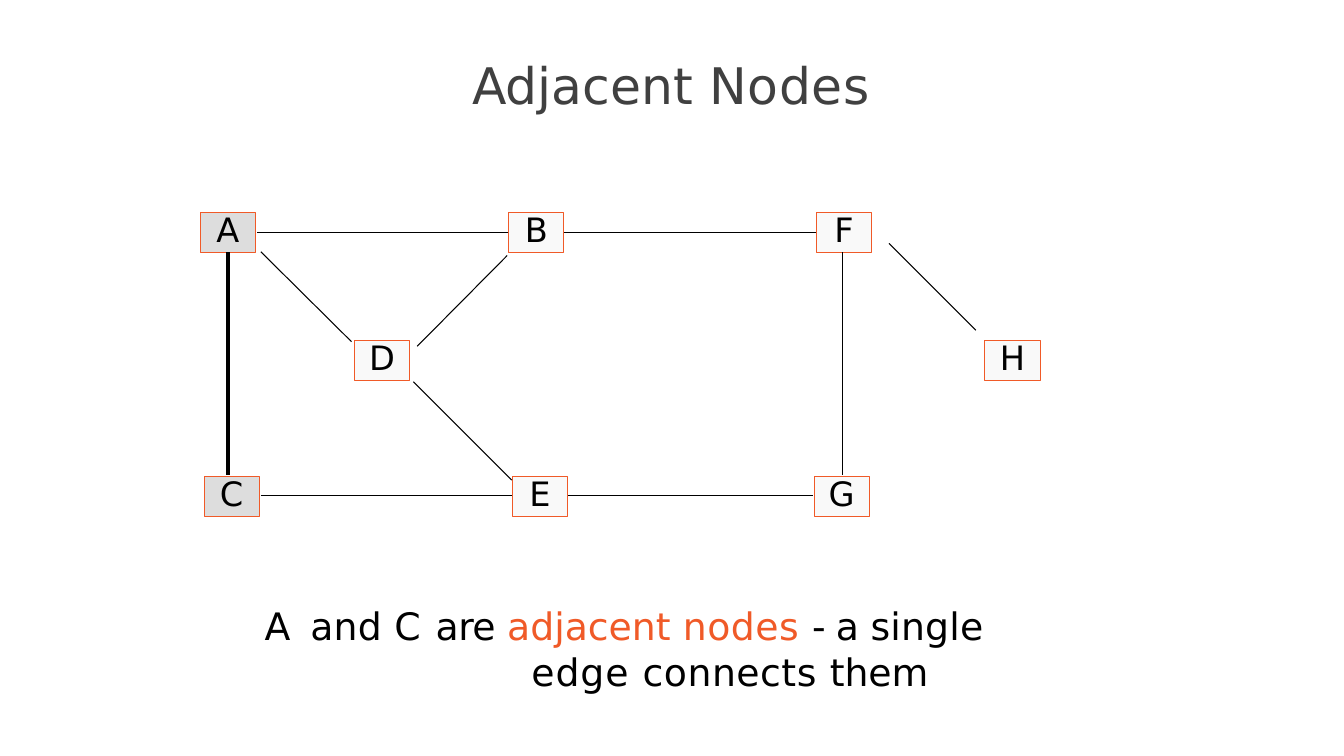
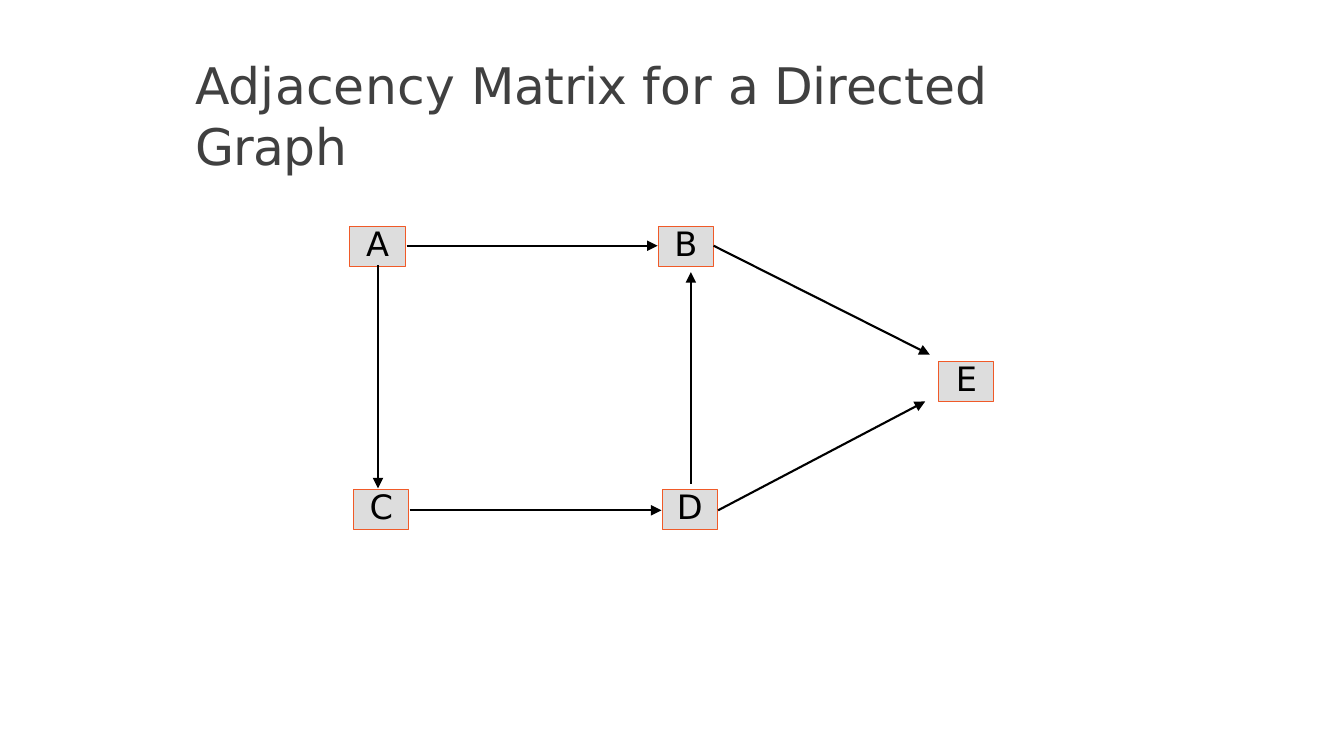
from lxml import etree
from pptx import Presentation
from pptx import util as u
from pptx.dml.color import RGBColor
from pptx.enum import shapes, text
from pptx.oxml.ns import qn

PX = 9144  # one px is a hundredth of an inch
WIDE, HIGH = 1778, 1000
NODE_W, NODE_H = 73, 53
FONT = "DejaVu Sans"
COLORS = {"title": "404040", "ink": "000000", "node": "DDDDDD", "accent": "F05A28"}


def px(*sizes):
    return [u.Emu(size * PX) for size in sizes]


def tint(name):
    return RGBColor.from_string(COLORS[name])


class Deck:
    def __init__(self):
        self.prs = Presentation()
        self.prs.slide_width, self.prs.slide_height = px(WIDE, HIGH)
        self.slide = None

    def style(self, run, size, color="ink", gap=0):
        """Format a run; gap is the letter spacing in points."""
        run.font.name, run.font.size = FONT, u.Pt(size)
        run.font.color.rgb = tint(color)
        if gap:
            run._r.get_or_add_rPr().set("spc", str(round(gap * 100)))

    def frame(self, shape, top=0):
        box = shape.text_frame
        box.margin_left = box.margin_right = box.margin_bottom = 0
        box.margin_top = px(top)[0]
        box.word_wrap = True
        box.auto_size = text.MSO_AUTO_SIZE.NONE
        box.vertical_anchor = text.MSO_ANCHOR.TOP
        return box

    def fill(self, para, parts, size):
        """Fill a paragraph from (words, gap, color) parts."""
        for words, gap, color in parts:
            run = para.add_run()
            run.text = words
            self.style(run, size, color, gap)

    def start(self, parts, left, width):
        """Add a slide with a title made of (words, gap) parts."""
        self.slide = self.prs.slides.add_slide(self.prs.slide_layouts[5])
        title = self.slide.shapes.title
        title.left, title.top, title.width, title.height = px(left, 71, width, 83)
        para = self.frame(title, 1).paragraphs[0]
        para.alignment = text.PP_ALIGN.LEFT
        para.space_before = u.Pt(1)
        self.fill(para, [(words, gap, "title") for words, gap in parts], 48)

    def node(self, name, left, top, alpha=100):
        box = self.slide.shapes.add_shape(
            shapes.MSO_SHAPE.RECTANGLE, *px(left, top, NODE_W, NODE_H))
        box.shadow.inherit = False
        box.fill.solid()
        box.fill.fore_color.rgb = tint("node")
        if alpha < 100:
            shade = box._element.spPr.find(qn("a:solidFill"))[0]
            etree.SubElement(shade, qn("a:alpha"), val=str(alpha * 1000))
        box.line.color.rgb = tint("accent")
        box.line.width = u.Pt(1)
        para = self.frame(box).paragraphs[0]
        para.text = name
        para.alignment = text.PP_ALIGN.CENTER
        para.line_spacing = u.Pt(35)
        self.style(para.runs[0], 32)

    def edge(self, ends, width=1, arrow=False):
        line = self.slide.shapes.add_connector(
            shapes.MSO_CONNECTOR.STRAIGHT, *px(*ends))
        line.line.color.rgb = tint("ink")
        line.line.width = u.Pt(width)
        props = line._element.spPr
        if arrow:
            etree.SubElement(props.find(qn("a:ln")), qn("a:tailEnd"),
                             type="triangle", w="lg", len="lg")
        etree.SubElement(props, qn("a:effectLst"))

    def caption(self, parts, place, indent):
        """Add a text whose lines after the first hang at the indent."""
        box = self.slide.shapes.add_textbox(*px(*place))
        para = self.frame(box, 4).paragraphs[0]
        para.line_spacing, para.space_before = u.Pt(43), u.Pt(2.6)
        props = para._p.get_or_add_pPr()
        props.set("marL", str(indent * PX))
        props.set("indent", str((1 - indent) * PX))
        self.fill(para, parts, 36)


def adjacent(deck):
    deck.start([("Adjacent ", 0), ("Nodes", 0.7)], 625, 540)
    top, mid, low = 281, 451, 630
    for name, left, y in [("A", 265, top), ("C", 270, low)]:
        deck.node(name, left, y)
    for name, left, y in [("B", 673, top), ("F", 1080, top), ("D", 469, mid),
                          ("H", 1303, mid), ("E", 678, low), ("G", 1077, low)]:
        deck.node(name, left, y, alpha=17)
    for ends in [(340, 307, 672, 307), (746, 307, 1079, 307),
                 (345, 656, 677, 656), (752, 656, 1075, 656),
                 (345, 333, 465, 452), (547, 505, 677, 635),
                 (552, 458, 671, 338), (1176, 322, 1291, 437),
                 (1114, 628, 1114, 333)]:
        deck.edge(ends)
    deck.edge((302, 628, 302, 333), width=4)
    deck.caption([("A ", 3.8, "ink"), ("and ", 0.2, "ink"), ("C ", 1.4, "ink"),
                  ("are ", -0.5, "ink"), ("adjacent ", 0, "accent"),
                  ("nodes ", 0.5, "accent"), ("- ", -1.7, "ink"),
                  ("a ", -0.5, "ink"), ("single ", 0.2, "ink"),
                  ("edge ", 0.9, "ink"), ("connects ", 0.5, "ink"),
                  ("them", -0.1, "ink")], (349, 794, 1070, 123), 354)


def directed(deck):
    deck.start([("Adjacency ", 0.2), ("Matrix ", -0.6), ("for ", 0.1),
                ("a ", -1.3), ("Directed ", -0.1), ("Graph", -0.6)], 258, 1240)
    for name, left, y in [("A", 463, 299), ("B", 871, 299), ("E", 1242, 478),
                          ("D", 876, 648), ("C", 468, 648)]:
        deck.node(name, left, y)
    for ends in [(538, 325, 870, 325), (944, 325, 1230, 469),
                 (914, 640, 914, 360), (542, 675, 875, 675),
                 (950, 675, 1224, 531), (500, 351, 500, 646)]:
        deck.edge(ends, width=2, arrow=True)


def main():
    deck = Deck()
    adjacent(deck)
    directed(deck)
    deck.prs.save("out.pptx")


if __name__ == "__main__":
    main()
